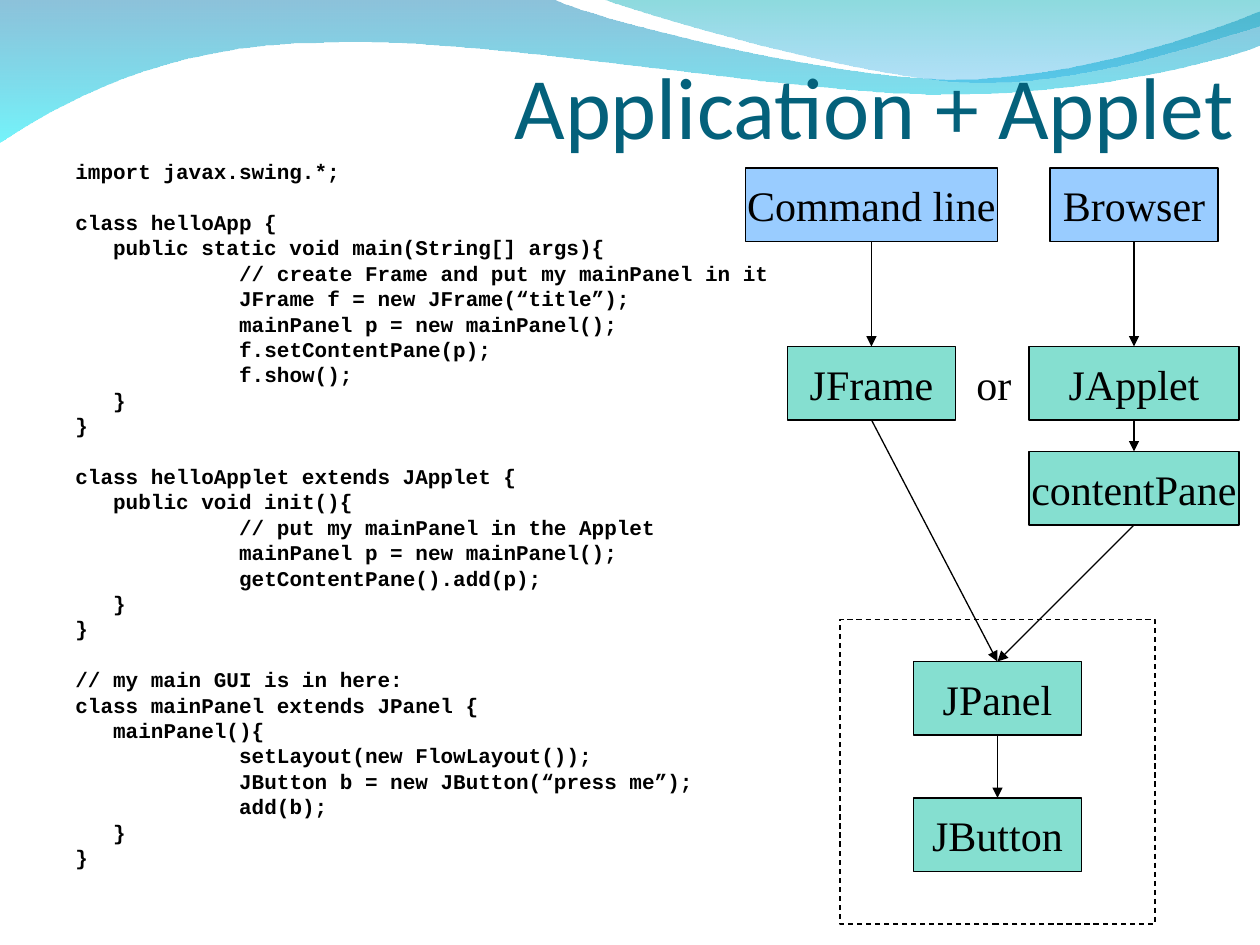
import pptx
import pptx.util
import pptx.dml.color
import pptx.enum.dml
import pptx.enum.shapes
import pptx.enum.text
import pptx.oxml.ns
from lxml import etree

Pt = pptx.util.Pt
qn = pptx.oxml.ns.qn
ANCHOR = pptx.enum.text.MSO_ANCHOR
ALIGN = pptx.enum.text.PP_ALIGN
RECT = pptx.enum.shapes.MSO_SHAPE.RECTANGLE

COLORS = {
    "title": "04617B", "ink": "000000", "start": "99CCFF", "part": "85DFD0",
    "blue": "0079AF", "cyan": "00EBF8", "teal": "00ADB6", "sky": "009BE5",
}
MARGINS = [0, 21.6, 93.6]
LINE_GAP, BLOCK_GAP = 3, 17.5
HEIGHT = 42
TOP, BOTTOM = 0, 2

# Each block is a list of (level, line).
CODE = [
    [(0, "import javax.swing.*;")],
    [(0, "class helloApp {"),
     (1, "public static void main(String[] args){"),
     (2, "// create Frame and put my mainPanel in it"),
     (2, "JFrame f = new JFrame(“title”);"),
     (2, "mainPanel p = new mainPanel();"),
     (2, "f.setContentPane(p);"),
     (2, "f.show();"),
     (1, "}"),
     (0, "}")],
    [(0, "class helloApplet extends JApplet {"),
     (1, "public void init(){"),
     (2, "// put my mainPanel in the Applet"),
     (2, "mainPanel p = new mainPanel();"),
     (2, "getContentPane().add(p);"),
     (1, "}"),
     (0, "}")],
    [(0, "// my main GUI is in here:"),
     (0, "class mainPanel extends JPanel {"),
     (1, "mainPanel(){"),
     (2, "setLayout(new FlowLayout());"),
     (2, "JButton b = new JButton(“press me”);"),
     (2, "add(b);"),
     (1, "}"),
     (0, "}")],
]

# Name, centre x, top, width, colour
BOXES = [
    ("JApplet", 648, 198, 120, "part"),
    ("contentPane", 648, 258, 120, "part"),
    ("JPanel", 570, 378, 96, "part"),
    ("JFrame", 498, 198, 96, "part"),
    ("JButton", 570, 456, 96, "part"),
    ("Browser", 648, 96, 96, "start"),
    ("Command line", 498, 96, 144, "start"),
]
ARROWS = [
    ("JApplet", "contentPane"), ("contentPane", "JPanel"),
    ("JFrame", "JPanel"), ("JPanel", "JButton"),
    ("Command line", "JFrame"), ("Browser", "JApplet"),
]

# Two numbers make a straight step, six make a cubic curve.
BACK = [
    (0, 0), (316.8, 0), (342.7, 12.2, 478, 45.4, 545.8, 45.4),
    (614.2, 45.4, 689.8, 18.7, 720, 6.5), (720, 25.9),
    (707.8, 31.7, 626.4, 54.7, 537.1, 54),
    (447.8, 54, 275, 20.2, 185, 24.5), (92.2, 25.2, 33.1, 59.8, 0, 81.4),
]
FRONT = [
    (344.9, 0), (366.5, 7.9, 491, 44.6, 553.7, 46.8),
    (616.3, 49.7, 691.9, 23, 720, 15.1), (720, 0),
]


def rgb(name):
    return pptx.dml.color.RGBColor.from_string(COLORS[name])


def bend(shape, steps):
    """Turn the straight segments of the curved steps into cubic curves."""
    segments = list(shape._element.iter(qn("a:lnTo")))
    for segment, step in zip(segments, steps[1:]):
        if len(step) == 2:
            continue
        segment.tag = qn("a:cubicBezTo")
        for i, (x, y) in enumerate([step[:2], step[2:4]]):
            point = etree.Element(qn("a:pt"), x=str(Pt(x) - shape.left),
                                  y=str(Pt(y) - shape.top))
            segment.insert(i, point)


def add_wave(slide, steps, stops):
    """Draw a wave with a see-through gradient from top to bottom."""
    ends = [(Pt(step[-2]), Pt(step[-1])) for step in steps]
    path = slide.shapes.build_freeform(*ends[0])
    path.add_line_segments(ends[1:], close=True)
    wave = path.convert_to_shape()
    bend(wave, steps)
    wave.shadow.inherit = False
    wave.line.fill.background()
    wave.fill.gradient()
    wave.fill.gradient_angle = 270
    for stop, (place, name, alpha) in zip(wave.fill.gradient_stops, stops):
        stop.position = place
        stop.color.rgb = rgb(name)
    tints = wave._element.spPr.iter(qn("a:srgbClr"))
    for tint, (place, name, alpha) in zip(tints, stops):
        etree.SubElement(tint, qn("a:alpha"), val=str(alpha * 1000))


def add_run(para, text, font, size, color="ink", bold=False):
    run = para.add_run()
    run.text = text
    run.font.name = font
    run.font.size = Pt(size)
    run.font.bold = bold
    run.font.color.rgb = rgb(color)


def add_text(slide, left, top, width, height, wrap=False):
    box = slide.shapes.add_textbox(Pt(left), Pt(top), Pt(width), Pt(height))
    box.text_frame.word_wrap = wrap
    return box.text_frame


def add_title(slide, text):
    frame = add_text(slide, 294, 0, 426, 90)
    frame.vertical_anchor = ANCHOR.BOTTOM
    frame.margin_left = frame.margin_right = frame.margin_bottom = 0
    add_run(frame.paragraphs[0], text, "Calibri", 50, "title")


def add_code(slide):
    frame = add_text(slide, 36, 90, 684, 450, wrap=True)
    para = frame.paragraphs[0]
    for block in CODE:
        for row, (level, line) in enumerate(block):
            if block is not CODE[0]:
                para = frame.add_paragraph()
                para.space_before = Pt(LINE_GAP if row else BLOCK_GAP)
            para.line_spacing = 0.8
            para._p.get_or_add_pPr().set("marL", str(Pt(MARGINS[level])))
            add_run(para, line, "Courier New", 12, bold=True)


def add_rect(slide, left, top, width, height):
    rect = slide.shapes.add_shape(RECT, Pt(left), Pt(top), Pt(width),
                                  Pt(height))
    rect.shadow.inherit = False
    rect.line.color.rgb = rgb("ink")
    rect.line.width = Pt(0.75)
    return rect


def add_box(slide, text, mid, top, width, color):
    box = add_rect(slide, mid - width / 2, top, width, HEIGHT)
    box.fill.solid()
    box.fill.fore_color.rgb = rgb(color)
    frame = box.text_frame
    frame.word_wrap = False
    frame.vertical_anchor = ANCHOR.MIDDLE
    para = frame.paragraphs[0]
    para.alignment = ALIGN.CENTER
    add_run(para, text, "Times New Roman", 24)
    return box


def add_arrow(slide, start, end):
    kind = pptx.enum.shapes.MSO_CONNECTOR.STRAIGHT
    arrow = slide.shapes.add_connector(kind, 0, 0, 0, 0)
    arrow.begin_connect(start, BOTTOM)
    arrow.end_connect(end, TOP)
    arrow.line.color.rgb = rgb("ink")
    arrow.line.width = Pt(0.75)
    etree.SubElement(arrow.line._get_or_add_ln(), qn("a:tailEnd"),
                     type="triangle")
    etree.SubElement(arrow._element.spPr, qn("a:effectLst"))


def main():
    deck = pptx.Presentation()
    deck.slide_width, deck.slide_height = Pt(720), Pt(540)
    slide = deck.slides.add_slide(deck.slide_layouts[6])
    add_wave(slide, BACK, [(0, "blue", 45), (1, "cyan", 55)])
    add_wave(slide, FRONT, [(0, "teal", 45), (1, "sky", 30)])
    add_title(slide, "Application + Applet")
    add_code(slide)
    boxes = {box[0]: add_box(slide, *box) for box in BOXES}
    for start, end in ARROWS:
        add_arrow(slide, boxes[start], boxes[end])
    label = add_text(slide, 550.8, 201.6, 34.6, 36)
    add_run(label.paragraphs[0], "or", "Times New Roman", 24)
    group = add_rect(slide, 480, 354, 180, 174)
    group.fill.background()
    group.line.dash_style = pptx.enum.dml.MSO_LINE.DASH
    deck.save("out.pptx")


if __name__ == "__main__":
    main()
